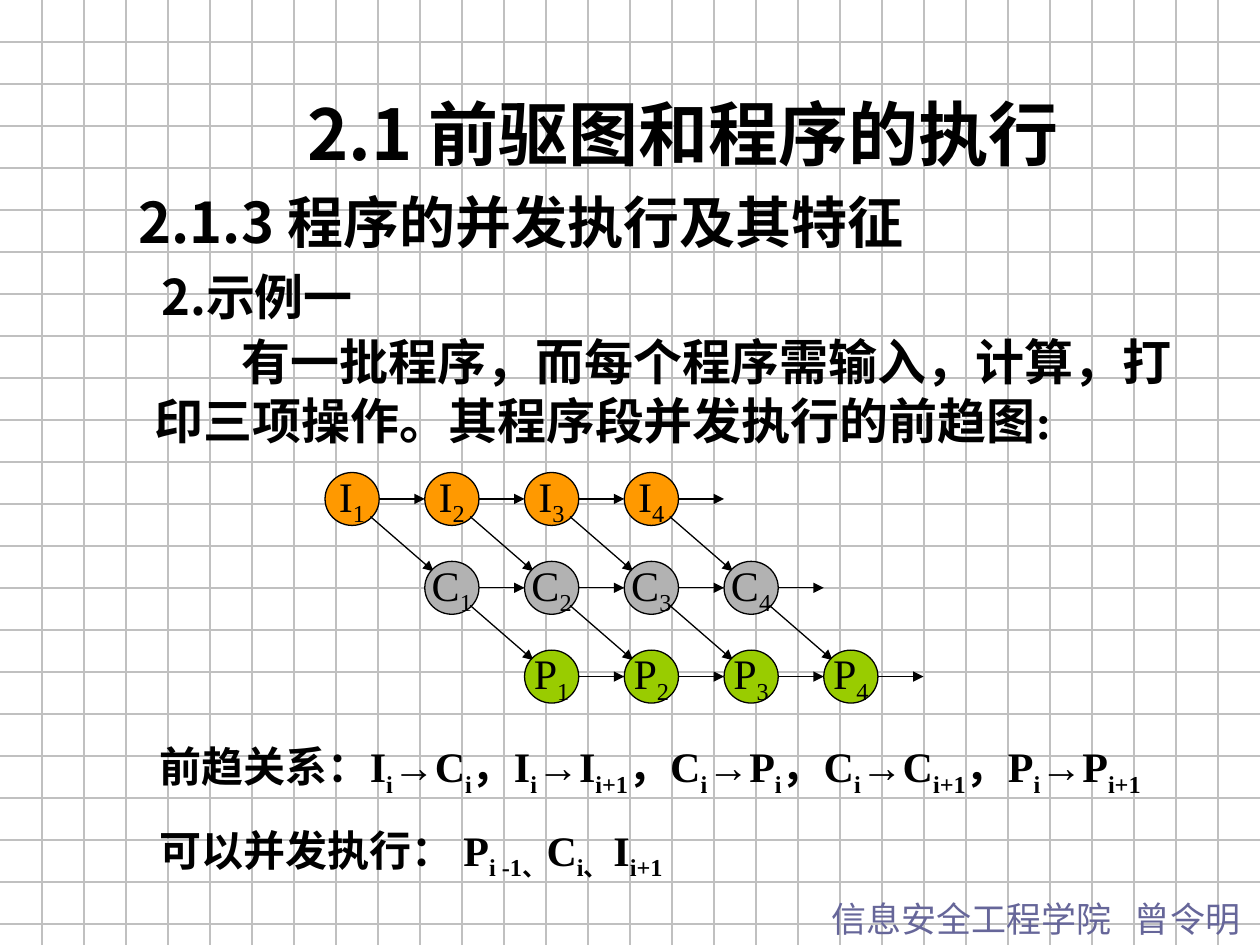
from pptx import Presentation
from pptx.dml.color import RGBColor
from pptx.enum.shapes import MSO_CONNECTOR as Connector, MSO_SHAPE as Shape
from pptx.enum.text import MSO_ANCHOR as Anchor, MSO_AUTO_SIZE as AutoSize, PP_ALIGN as Align
from pptx.oxml.ns import qn
from pptx.util import Inches, Pt
from lxml.etree import SubElement

SERIF, SANS_SC, SANS_JP = "Times New Roman", "Noto Sans CJK SC", "Noto Sans CJK JP"
BLACK = "000000"


def rgb(hex_code):
    """Turn a hex string into a colour."""
    return RGBColor.from_string(hex_code)


def write_runs(paragraph, marked_text, size, font=SERIF, color=BLACK, bold=True):
    """Fill a paragraph with runs; parts between underscores become subscripts."""
    for position, part in enumerate(marked_text.split("_")):
        if not part:
            continue
        run = paragraph.add_run()
        run.text = part
        run.font.size, run.font.bold, run.font.name = Pt(size), bold, font
        run.font.color.rgb = rgb(color)
        properties = run.font._element
        east_asian = SANS_SC if font == SERIF else font
        SubElement(properties, qn("a:ea")).set("typeface", east_asian)
        if position % 2:
            properties.set("baseline", "-25000")


def set_indent(paragraph, margin, first_line=0):
    """Set the left margin and first-line indent of a paragraph, without a bullet."""
    properties = paragraph._p.get_or_add_pPr()
    properties.set("marL", str(Inches(margin)))
    properties.set("indent", str(Inches(first_line)))
    SubElement(properties, qn("a:buNone"))


def place(holder, box):
    """Move a text holder to a box and return its wrapped, top-anchored frame."""
    holder.left, holder.top, holder.width, holder.height = map(Inches, box)
    frame = holder.text_frame
    frame.word_wrap, frame.auto_size = True, AutoSize.NONE
    frame.vertical_anchor = Anchor.TOP
    return frame


def add_text_frame(slide, box):
    """Add a text box and return its frame."""
    return place(slide.shapes.add_textbox(*map(Inches, box)), box)


def add_line(shapes, start, end, color=BLACK, arrow=False):
    """Draw a thin straight line, with an arrowhead at its end if wanted."""
    line = shapes.add_connector(Connector.STRAIGHT, *map(Inches, (*start, *end)))
    line.line.color.rgb, line.line.width = rgb(color), Pt(0.75)
    if arrow:
        SubElement(line.line._get_or_add_ln(), qn("a:tailEnd")).set("type", "triangle")
    SubElement(line._element.spPr, qn("a:effectLst"))


def add_grid(slide, box, cells_per_inch=3):
    """Rule the background like squared paper."""
    left, top, width, height = box
    shapes = slide.shapes.add_group_shape().shapes
    for row in range(1, int(height * cells_per_inch) + 1):
        y = top + row / cells_per_inch
        add_line(shapes, (left, y), (left + width, y), "C0C0C0")
    for column in range(1, int(width * cells_per_inch)):
        x = left + column / cells_per_inch
        add_line(shapes, (x, top), (x, top + height), "C0C0C0")


def add_footer(slide, box):
    """Write the school and the author in the lower right corner."""
    paragraph = add_text_frame(slide, box).paragraphs[0]
    tabs = SubElement(paragraph._p.get_or_add_pPr(), qn("a:tabLst"))
    author_tab = SubElement(tabs, qn("a:tab"))
    author_tab.set("pos", str(Inches(2.41)))
    author_tab.set("algn", "l")
    write_runs(paragraph, "信息安全工程学院\t曾令明", 20, SANS_JP, "666699", False)


def fill_title(slide, box):
    """Write the chapter title in the title placeholder."""
    title = slide.shapes.title
    slide.shapes._spTree.append(title._element)
    paragraph = place(title, box).paragraphs[0]
    paragraph.alignment = Align.CENTER
    write_runs(paragraph, "2.1 前驱图和程序的执行", 40, SANS_JP)


def fill_headings(slide, box):
    """Write the section and example headings in the body placeholder."""
    body = slide.placeholders[1]
    slide.shapes._spTree.append(body._element)
    frame = place(body, box)
    headings = [("2.1.3 ", "程序的并发执行及其特征", 32, 0), ("2.", "示例一", 28, 0.18)]
    for index, (number, heading, size, margin) in enumerate(headings):
        paragraph = frame.add_paragraph() if index else frame.paragraphs[0]
        paragraph.line_spacing, paragraph.space_before = 1.2, Pt(0)
        set_indent(paragraph, margin)
        write_runs(paragraph, number, size, SANS_SC)
        write_runs(paragraph, heading, size)


def add_description(slide, box):
    """Describe the batch of programs."""
    paragraph = add_text_frame(slide, box).paragraphs[0]
    set_indent(paragraph, 0.38, 0.69)
    write_runs(paragraph, "有一批程序，而每个程序需输入，计算，打印三项操作。其程序段并发执行的前趋图:", 28)


def add_precedence_graph(slide, box, count=4):
    """Draw the input, compute and print steps of each program with their order."""
    left, top, width, height = box
    node_width, node_height = 0.43, 0.42
    operations = [("I", "FF9900"), ("C", "B2B2B2"), ("P", "99CC00")]
    step_x = width / (count + len(operations) - 1)
    step_y = (height - node_height) / (len(operations) - 1)
    shapes = slide.shapes.add_group_shape().shapes
    for row, (operation, color) in enumerate(operations):
        for column in range(count):
            x, y = left + (row + column) * step_x, top + row * step_y
            node = shapes.add_shape(Shape.OVAL, *map(Inches, (x, y, node_width, node_height)))
            node.shadow.inherit = False
            node.fill.solid()
            node.fill.fore_color.rgb = rgb(color)
            node.line.color.rgb, node.line.width = rgb(BLACK), Pt(0.75)
            node.text_frame.word_wrap = False
            node.text_frame.vertical_anchor = Anchor.MIDDLE
            label = node.text_frame.paragraphs[0]
            label.alignment = Align.CENTER
            write_runs(label, f"{operation}_{column + 1}_", 24, bold=False)
            middle = y + node_height / 2
            add_line(shapes, (x + node_width, middle), (x + step_x, middle), arrow=True)
            if row < len(operations) - 1:
                add_line(shapes, (x + 0.36, y + 0.35),
                         (x + step_x + 0.07, y + step_y + 0.08), arrow=True)


def add_relations(slide, box):
    """List the precedence relations and the steps that can run together."""
    frame = add_text_frame(slide, box)
    relations = [
        "前趋关系：I_i_→C_i_，I_i_→I_i+1_，C_i_→P_i_，C_i_→C_i+1_，P_i_→P_i+1_",
        "可以并发执行： P_i -1、_C_i、 _I_i+1_",
    ]
    for index, relation in enumerate(relations):
        paragraph = frame.add_paragraph() if index else frame.paragraphs[0]
        paragraph.space_before = Pt(15 * index)
        write_runs(paragraph, relation, 24)


def main():
    """Build the slide and save it."""
    deck = Presentation()
    deck.slide_width, deck.slide_height = Inches(10), Inches(7.5)
    slide = deck.slides.add_slide(deck.slide_layouts[1])
    add_grid(slide, (0, 0, 10, 7.5))
    add_footer(slide, (6.5, 7.07, 3.5, 0.44))
    fill_headings(slide, (1, 1.33, 8.58, 1.3))
    fill_title(slide, (1.42, 0.67, 8, 0.77))
    add_description(slide, (0.75, 2.58, 8.83, 1))
    add_precedence_graph(slide, (2.58, 3.75, 4.75, 1.83))
    add_relations(slide, (1.17, 5.83, 8.08, 1.68))
    deck.save("out.pptx")


if __name__ == "__main__":
    main()
